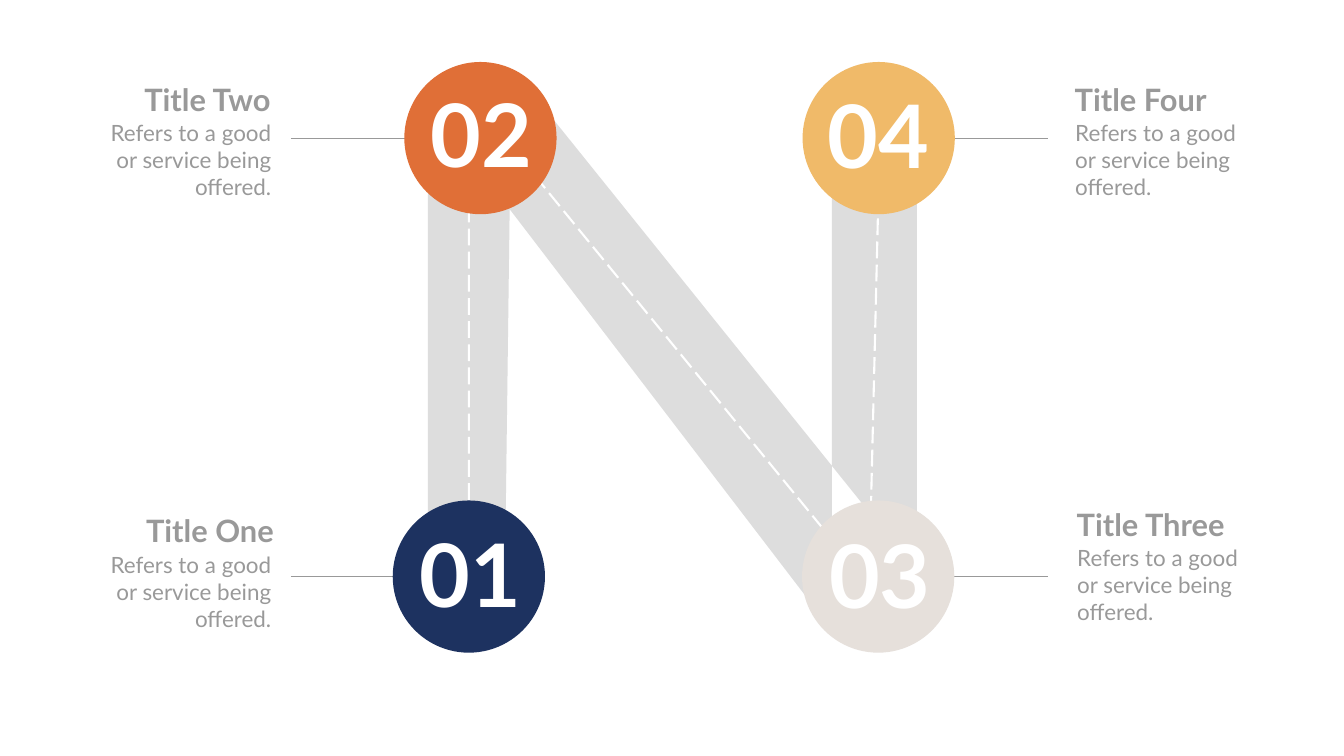
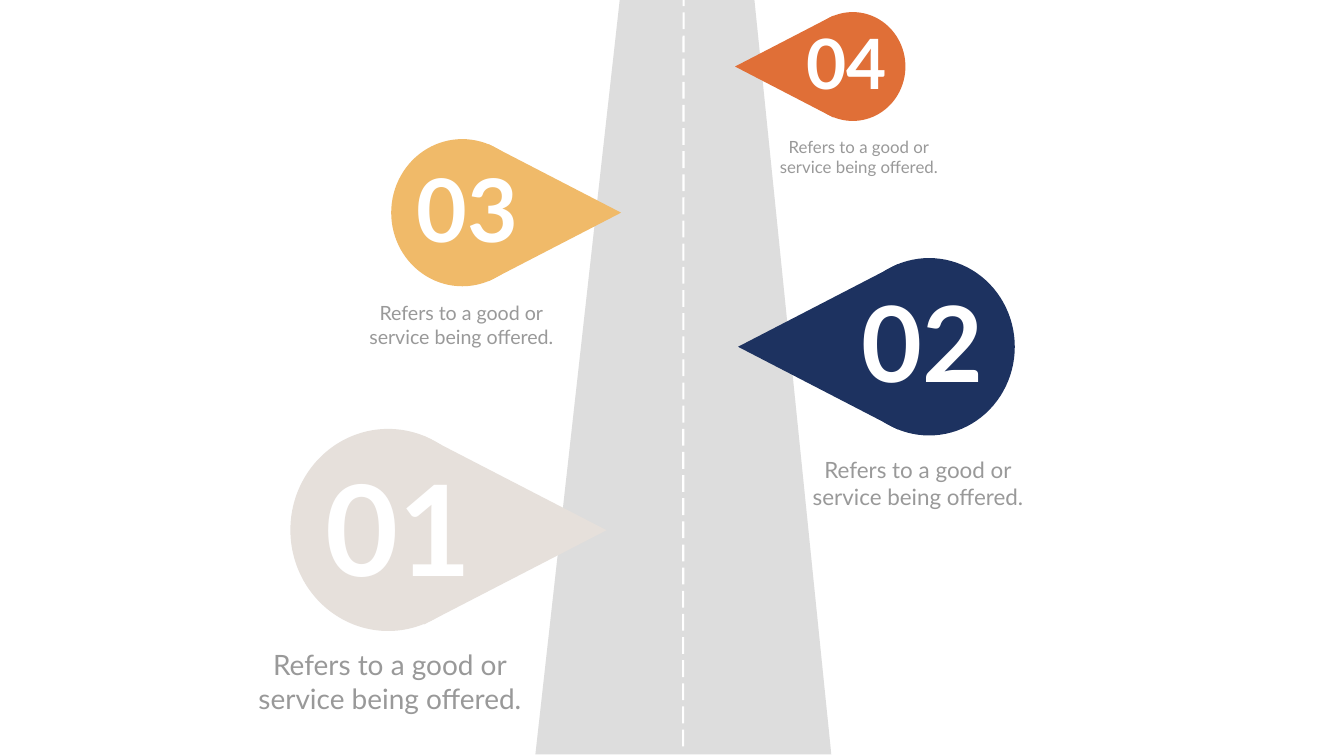
import pptx
import pptx.util
import pptx.dml.color
import pptx.enum.dml
import pptx.enum.shapes
import pptx.enum.text
import pptx.oxml.ns
import pptx.oxml.xmlchemy

RGBColor = pptx.dml.color.RGBColor
ALIGN = pptx.enum.text.PP_ALIGN
SCALE = 9144  # EMU per px, 100 px to the inch

NAVY = RGBColor(0x1D, 0x32, 0x60)
ORANGE = RGBColor(0xE0, 0x6F, 0x37)
YELLOW = RGBColor(0xF0, 0xBA, 0x69)
SAND = RGBColor(0xE6, 0xE0, 0xDB)
GREY = RGBColor(0x99, 0x99, 0x99)
ROAD = RGBColor(0x79, 0x79, 0x79)
WHITE = RGBColor(0xFF, 0xFF, 0xFF)
FONT = "Lato"
BODY = ["Refers to a good or", "service being offered."]


def px(value):
    return round(value) * SCALE


def paint(shape, color):
    shape.shadow.inherit = False
    shape.fill.solid()
    shape.fill.fore_color.rgb = color
    shape.line.fill.background()


def stroke(line, color, points):
    line.color.rgb = color
    line.width = pptx.util.Pt(points)


def dash(line):
    stroke(line, WHITE, 3)
    line.dash_style = pptx.enum.dml.MSO_LINE.LONG_DASH


def outline(slide, points, close=True):
    pen = slide.shapes.build_freeform(*points[0], scale=SCALE)
    pen.add_line_segments(points[1:], close=close)
    return pen.convert_to_shape()


def road(slide, points):
    shape = outline(slide, points)
    paint(shape, ROAD)
    tint = shape._element.spPr.find(".//" + pptx.oxml.ns.qn("a:srgbClr"))
    alpha = pptx.oxml.xmlchemy.OxmlElement("a:alpha")
    alpha.set("val", "25000")
    tint.append(alpha)


def link(slide, x1, y1, x2, y2):
    line = slide.shapes.add_connector(
        pptx.enum.shapes.MSO_CONNECTOR.STRAIGHT, px(x1), px(y1), px(x2), px(y2))
    stroke(line.line, GREY, 0.57)
    line._element.spPr.append(pptx.oxml.xmlchemy.OxmlElement("a:effectLst"))
    return line


def disc(slide, x, y, w, h, color):
    shape = slide.shapes.add_shape(
        pptx.enum.shapes.MSO_SHAPE.OVAL, px(x), px(y), px(w), px(h))
    paint(shape, color)


def write(slide, x, y, w, lines, size, color=GREY, bold=False,
          align=ALIGN.LEFT, wrap=False, rows=1):
    """Add a text box whose height follows from its rows and font size."""
    high = rows * size * 1.69 + 10
    box = slide.shapes.add_textbox(px(x), px(y), px(w), px(high))
    frame = box.text_frame
    frame.word_wrap = wrap
    frame.auto_size = pptx.enum.text.MSO_AUTO_SIZE.SHAPE_TO_FIT_TEXT
    frame.text = "\n".join(lines)
    for para in frame.paragraphs:
        para.alignment = align
        for run in para.runs:
            run.font.name = FONT
            run.font.size = pptx.util.Pt(size)
            run.font.bold = bold
            run.font.color.rgb = color


def number(slide, x, y, text, size):
    write(slide, x, y, size * 1.63 + 20, [text], size, WHITE, True)


def stop(slide, x, y, color, text, dx, dy):
    """Numbered disc with its top left corner at x, y."""
    disc(slide, x, y, 302, 302, color)
    number(slide, x + dx, y + dy, text, 125)


def label(slide, x, y, title, shift, wide, left):
    """Title and text in a column at x, y; the title is moved by shift."""
    write(slide, x + shift, y, wide, [title], 44, bold=True,
          align=ALIGN.CENTER if left else ALIGN.LEFT)
    write(slide, x, y + 77, 340, [" ".join(BODY)], 32, wrap=True, rows=3,
          align=ALIGN.RIGHT if left else ALIGN.LEFT)


def pin(slide, x, y, w, color, right):
    """Round head in the box at x, y, with a point to the right or left."""
    h = w * 1.034
    base, tip = 0.683 * w, 1.616 * w
    if not right:
        base, tip = w - base, w - tip
    top, mid, low = (round(y + part * h) for part in (0.034, 0.5, 0.966))
    base, tip = round(x + base), round(x + tip)
    paint(outline(slide, [(base, top), (tip, mid), (base, low)]), color)
    disc(slide, x, y, w, h, color)


def zigzag(slide):
    # Lines to the labels
    for x in (577, 1776):
        for y in (274, 1144):
            link(slide, x, y, x + 303, y)

    # Road with its centre line
    road(slide, [(849, 1192), (1001, 1193), (1011, 415), (1606, 1193),
                 (1819, 1193), (1819, 210), (1650, 210), (1650, 1041),
                 (1744, 1041), (1076, 210), (849, 207)])
    lane = outline(slide, [(930, 992), (930, 188), (1724, 1161), (1747, 197)], False)
    lane.shadow.inherit = False
    lane.fill.background()
    dash(lane.line)

    # Stops
    for x, y, color, text, dx, dy in (
            (779, 993, NAVY, "01", 44, 33), (802, 123, ORANGE, "02", 43, 31),
            (1592, 123, YELLOW, "04", 40, 33), (1591, 993, SAND, "03", 44, 35)):
        stop(slide, x, y, color, text, dx, dy)

    # Labels
    for x, y, title, shift, wide, left in (
            (208, 155, "Title Two", 63, 281, True),
            (208, 1011, "Title One", 70, 277, True),
            (2123, 155, "Title Four", -1, 287, False),
            (2127, 998, "Title Three", -1, 320, False)):
        label(slide, x, y, title, shift, wide, left)


def highway(slide):
    # Road with its centre line
    road(slide, [(1231, -15), (1062, 1497), (1649, 1497), (1495, -15)])
    dash(link(slide, 1355, 1481, 1356, -48).line)

    # Pins
    for x, y, w, color, right in (
            (576, 851, 388, SAND, True), (1673, 512, 340, NAVY, False),
            (776, 276, 282, YELLOW, True), (1587, 24, 209, ORANGE, False)):
        pin(slide, x, y, w, color, right)

    # Numbers
    for x, y, text, size in ((636, 888, "01", 180), (1700, 545, "02", 150),
                             (817, 302, "03", 125), (1589, 35, "04", 99)):
        number(slide, x, y, text, size)

    # Captions
    for x, y, w, size in ((492, 1280, 563, 40), (1595, 900, 452, 32),
                          (714, 593, 402, 28), (1531, 266, 345, 24)):
        write(slide, x, y, w, BODY, size, align=ALIGN.CENTER, wrap=True, rows=2)


def main():
    deck = pptx.Presentation()
    deck.slide_width, deck.slide_height = px(2666), px(1500)
    for build in (zigzag, highway):
        build(deck.slides.add_slide(deck.slide_layouts[6]))
    deck.save("out.pptx")


if __name__ == "__main__":
    main()
